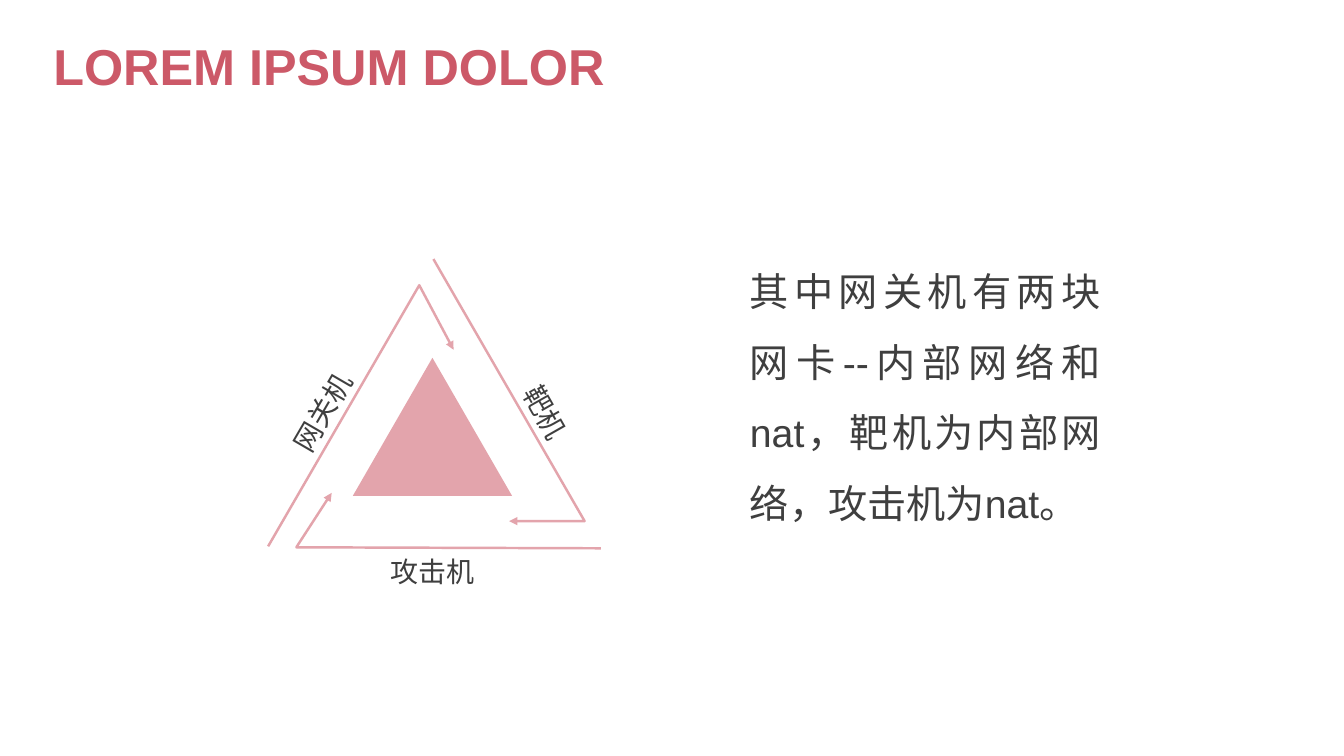
from dataclasses import dataclass

from lxml.etree import SubElement
from pptx import Presentation
from pptx.dml.color import RGBColor
from pptx.enum.shapes import MSO_SHAPE
from pptx.enum.text import MSO_ANCHOR, MSO_AUTO_SIZE, PP_ALIGN
from pptx.oxml.ns import qn
from pptx.util import Inches, Pt

WIDTH, HEIGHT = Inches(13.333), Inches(7.5)


@dataclass(frozen=True)
class Theme:
    """Colours, font and sizes of the slide."""
    font: str = "Arial"
    title: RGBColor = RGBColor(0xCC, 0x59, 0x68)
    pink: RGBColor = RGBColor(0xE3, 0xA4, 0xAC)
    ink: RGBColor = RGBColor(0x3F, 0x3F, 0x3F)
    title_size: float = 36
    body_size: float = 28
    label_size: float = 20
    line: float = 1.75


THEME = Theme()


def point(x, y):
    """Turn percentages of the slide's width and height into lengths."""
    return round(WIDTH * x / 100), round(HEIGHT * y / 100)


def box(x, y, w, h):
    """Turn a box given in percentages into lengths."""
    return *point(x, y), *point(w, h)


def write(sp, text, size, color=THEME.ink, bold=False, align=PP_ALIGN.LEFT,
          spacing=None, anchor=MSO_ANCHOR.TOP, insets=(0.1, 0.05)):
    """Write one formatted paragraph into a shape."""
    tf = sp.text_frame
    tf.word_wrap = True
    tf.auto_size = MSO_AUTO_SIZE.NONE
    tf.vertical_anchor = anchor
    tf.margin_left = tf.margin_right = Inches(insets[0])
    tf.margin_top = tf.margin_bottom = Inches(insets[1])
    p = tf.paragraphs[0]
    p.alignment = align
    p.line_spacing = spacing
    r = p.add_run()
    r.text = text
    r.font.name = THEME.font
    r.font.size = Pt(size)
    r.font.bold = bold
    r.font.color.rgb = color


def add_title(s, text):
    """Place and format the title placeholder."""
    sp = s.shapes.title
    sp.left, sp.top, sp.width, sp.height = box(3.22, 3.73, 63.3, 9.73)
    write(sp, text, THEME.title_size, THEME.title, bold=True,
          spacing=0.9, anchor=MSO_ANCHOR.BOTTOM)


def add_body(s, text):
    """Add the justified explanation."""
    sp = s.shapes.add_textbox(*box(55.8, 32.27, 26.1, 55.87))
    write(sp, text, THEME.body_size, align=PP_ALIGN.JUSTIFY,
          spacing=1.5, insets=(0, 0))


def add_triangle(s):
    """Add the solid triangle in the centre."""
    sp = s.shapes.add_shape(MSO_SHAPE.ISOSCELES_TRIANGLE,
                            *box(26.25, 47.33, 11.85, 18.27))
    sp.shadow.inherit = False
    sp.fill.solid()
    sp.fill.fore_color.rgb = THEME.pink
    sp.line.fill.background()


def add_bent_arrow(s, points):
    """Add an open outline that ends in an arrowhead."""
    start, *rest = [point(*xy) for xy in points]
    builder = s.shapes.build_freeform(*start)
    builder.add_line_segments(rest, close=False)
    sp = builder.convert_to_shape()
    sp.shadow.inherit = False
    sp.fill.background()
    sp.line.color.rgb = THEME.pink
    sp.line.width = Pt(THEME.line)
    SubElement(sp.line._get_or_add_ln(), qn("a:tailEnd"), type="triangle")


def add_label(s, text, x, y, rotation):
    """Add the name of a machine along one side."""
    sp = s.shapes.add_textbox(*box(x, y, 11.4, 4.53))
    sp.rotation = rotation
    write(sp, text, THEME.label_size, align=PP_ALIGN.CENTER, insets=(0.07, 0))


def main():
    """Build the slide and save it."""
    prs = Presentation()
    prs.slide_width, prs.slide_height = WIDTH, HEIGHT
    s = prs.slides.add_slide(prs.slide_layouts[5])
    add_title(s, "LOREM IPSUM DOLOR")
    add_body(s, "其中网关机有两块网卡--内部网络和nat，靶机为内部网络，攻击机为nat。")
    add_triangle(s)
    for points in (
        [(44.7, 72.53), (22.05, 72.4), (24.68, 65.2)],
        [(32.25, 34.27), (43.5, 68.93), (37.88, 68.93)],
        [(19.95, 72.27), (31.2, 37.73), (33.75, 46.27)],
    ):
        add_bent_arrow(s, points)
    for label in (
        ("靶机", 34.88, 52.27, 60.4),
        ("网关机", 18.3, 52.27, 300.2),
        ("攻击机", 26.48, 73.33, 0),
    ):
        add_label(s, *label)
    prs.save("out.pptx")


if __name__ == "__main__":
    main()
